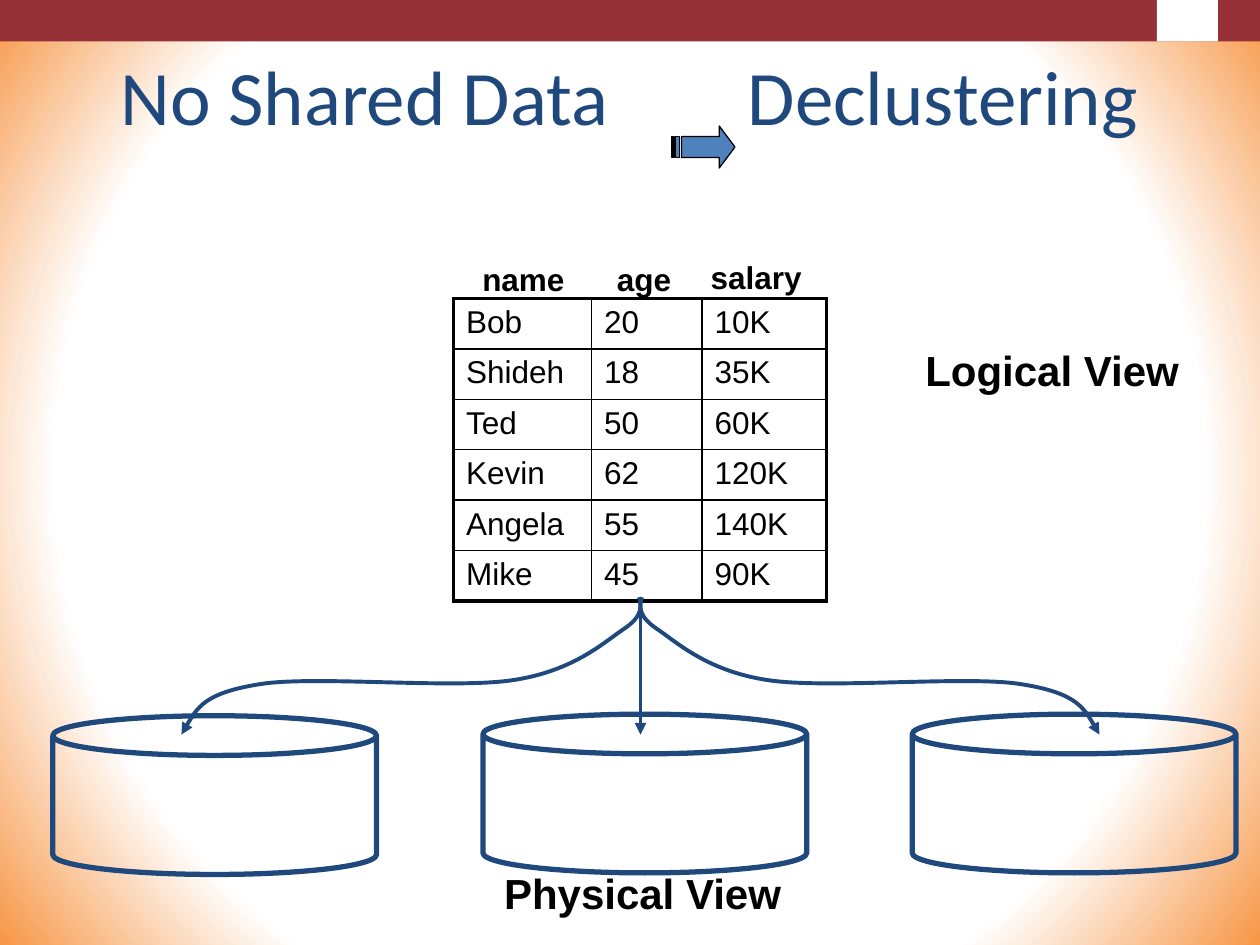
"""Build the declustering slide: a logical table spread over three disks."""
from lxml import etree
from pptx import Presentation
from pptx.dml.color import RGBColor
from pptx.enum.shapes import MSO_CONNECTOR, MSO_SHAPE
from pptx.enum.text import MSO_ANCHOR, PP_ALIGN
from pptx.oxml import parse_xml
from pptx.oxml.ns import nsdecls, qn
from pptx.util import Pt

CAN, RECT = MSO_SHAPE.CAN, MSO_SHAPE.RECTANGLE
LINE = MSO_CONNECTOR.STRAIGHT
LEFT, MID, LOW = PP_ALIGN.LEFT, PP_ALIGN.CENTER, MSO_ANCHOR.BOTTOM

HUES = {"navy": "1F497D", "blue": "4F81BD", "red": "963237",
        "black": "000000", "white": "FFFFFF", "glow": "F79646"}
TITLE = ("No Shared Data", "\t", "Declustering")
ROWS = [("Bob", "20", "10K"), ("Shideh", "18", "35K"), ("Ted", "50", "60K"),
        ("Kevin", "62", "120K"), ("Angela", "55", "140K"), ("Mike", "45", "90K")]
COLS = (78.8, 63.2, 71)
TALL = 28.8
LABELS = [("Physical View", 24, 278.8, 492.2, 176.8, 36),
          ("Logical View", 24, 519.3, 193.4, 163.8, 36),
          ("name", 18, 266.5, 145.1, 65.2, 28.8),
          ("age", 18, 343.3, 145.1, 49.4, 28.8),
          ("salary", 18, 396.9, 144, 70.2, 28.8)]
CURVE = [(365.2, 341.3),
         (366.5, 346.3), (367.9, 352.1), (355.7, 360),
         (344.2, 367.9), (326.9, 383.8), (292.3, 388.8),
         (257, 393.8), (179.3, 385.9), (148.3, 391),
         (116.6, 396), (110.2, 408.2), (103.7, 419.8)]
AXIS = 366
DISKS = [(30.2, 409), (276, 408.1), (521.3, 408.1)]
BANDS = [("red", 0, 720), ("white", 661, 35)]
ARROW = [[(411, 72), (411, 78), (389.5, 78), (389.5, 90), (411, 90), (411, 96), (420, 84)],
         [(386.2, 78), (386.2, 90), (388.2, 90), (388.2, 78)],
         [(384, 78), (384, 90), (385.2, 90), (385.2, 78)]]
STOPS = ((0, "white"), (73, "white"), (100, "glow"))


def rgb(hue):
    return RGBColor.from_string(HUES[hue])


def pts(spots):
    return [(Pt(x), Pt(y)) for x, y in spots]


def write(para, text, size, face, hue, bold=False):
    run = para.add_run()
    run.text = text
    font = run.font
    font.size, font.name, font.bold = Pt(size), face, bold
    font.color.rgb = rgb(hue)


def style(shape, fill=None, line=None, width=0):
    shape.shadow.inherit = False
    for part, hue in ((shape.fill, fill), (shape.line.fill, line)):
        if hue:
            part.solid()
            part.fore_color.rgb = rgb(hue)
        else:
            part.background()
    if line:
        shape.line.width = Pt(width)


def point(shape):
    line = shape._element.spPr.find(qn("a:ln"))
    etree.SubElement(line, qn("a:tailEnd"), type="triangle")


def paint(slide):
    stops = "".join(f'<a:gs pos="{at * 1000}"><a:srgbClr val="{HUES[hue]}"/></a:gs>'
                    for at, hue in STOPS)
    slide._element.cSld.insert(0, parse_xml(
        f'<p:bg {nsdecls("p", "a")}><p:bgPr><a:gradFill rotWithShape="1">'
        f'<a:gsLst>{stops}</a:gsLst><a:path path="circle">'
        '<a:fillToRect l="50000" t="50000" r="50000" b="50000"/></a:path>'
        '</a:gradFill><a:effectLst/></p:bgPr></p:bg>'))


def head(slide):
    title = slide.shapes.title
    title.left, title.top, title.width, title.height = map(Pt, (36, 21.6, 648, 62.6))
    frame = title.text_frame
    frame.margin_left, frame.vertical_anchor = Pt(33), LOW
    para = frame.paragraphs[0]
    para.alignment = LEFT
    tabs = etree.SubElement(para._p.get_or_add_pPr(), qn("a:tabLst"))
    etree.SubElement(tabs, qn("a:tab"), pos=str(Pt(358.3)), algn="l")
    for text in TITLE:
        write(para, text, 44, "Calibri", "navy")


def arrow(shapes):
    first, *rest = map(pts, ARROW)
    pen = shapes.build_freeform(*first[0])
    pen.add_line_segments(first[1:])
    for bar in rest:
        pen.move_to(*bar[0])
        pen.add_line_segments(bar[1:])
    style(pen.convert_to_shape(), "blue", "black", 0.75)


def bend(shapes, spots):
    start, *rest = pts(spots)
    pen = shapes.build_freeform(*start)
    pen.add_line_segments(rest, close=False)
    shape = pen.convert_to_shape()
    route = shape._element.find(".//" + qn("a:path"))
    legs = route.findall(qn("a:lnTo"))
    for i in range(0, len(legs), 3):
        cubic = etree.SubElement(route, qn("a:cubicBezTo"))
        for leg in legs[i:i + 3]:
            cubic.append(leg[0])
            route.remove(leg)
    style(shape, line="navy", width=2.25)
    point(shape)


def edge(cell, row, col):
    props = cell._tc.get_or_add_tcPr()
    outer = {"L": col == 0, "R": col == len(COLS) - 1,
             "T": row == 0, "B": row == len(ROWS) - 1}
    for side, thick in outer.items():
        props.append(parse_xml(
            f'<a:ln{side} {nsdecls("a")} w="{Pt(2.25 if thick else 1)}"><a:solidFill>'
            f'<a:srgbClr val="{HUES["black"]}"/></a:solidFill></a:ln{side}>'))


def grid(shapes):
    table = shapes.add_table(len(ROWS), len(COLS), Pt(259.2), Pt(170.6),
                             Pt(sum(COLS)), Pt(TALL * len(ROWS))).table
    table.first_row = table.horz_banding = False
    for col, wide in enumerate(COLS):
        table.columns[col].width = Pt(wide)
    for row, texts in enumerate(ROWS):
        table.rows[row].height = Pt(TALL)
        for col, text in enumerate(texts):
            cell = table.cell(row, col)
            edge(cell, row, col)
            cell.fill.background()
            write(cell.text_frame.paragraphs[0], text, 18, "Arial", "black")


def drop(shapes):
    line = shapes.add_connector(LINE, Pt(AXIS), Pt(341.3), Pt(AXIS), Pt(419.8))
    line.line.color.rgb = rgb("navy")
    line.line.width = Pt(2.25)
    point(line)
    etree.SubElement(line._element.spPr, qn("a:effectLst"))


def main():
    deck = Presentation()
    deck.slide_width, deck.slide_height = Pt(720), Pt(540)
    slide = deck.slides.add_slide(deck.slide_layouts[5])
    shapes = slide.shapes
    paint(slide)
    for hue, x, wide in BANDS:
        style(shapes.add_shape(RECT, Pt(x), 0, Pt(wide), Pt(23.6)), hue)
    head(slide)
    arrow(shapes)
    for x, y in DISKS:
        can = shapes.add_shape(CAN, Pt(x), Pt(y), Pt(185), Pt(90.7))
        style(can, line="navy", width=3)
    grid(shapes)
    drop(shapes)
    bend(shapes, CURVE)
    bend(shapes, [(2 * AXIS - x, y) for x, y in CURVE])
    for text, size, *area in LABELS:
        frame = shapes.add_textbox(*map(Pt, area)).text_frame
        frame.word_wrap = False
        para = frame.paragraphs[0]
        para.alignment = MID
        write(para, text, size, "Arial", "black", True)
    deck.save("out.pptx")


if __name__ == "__main__":
    main()
